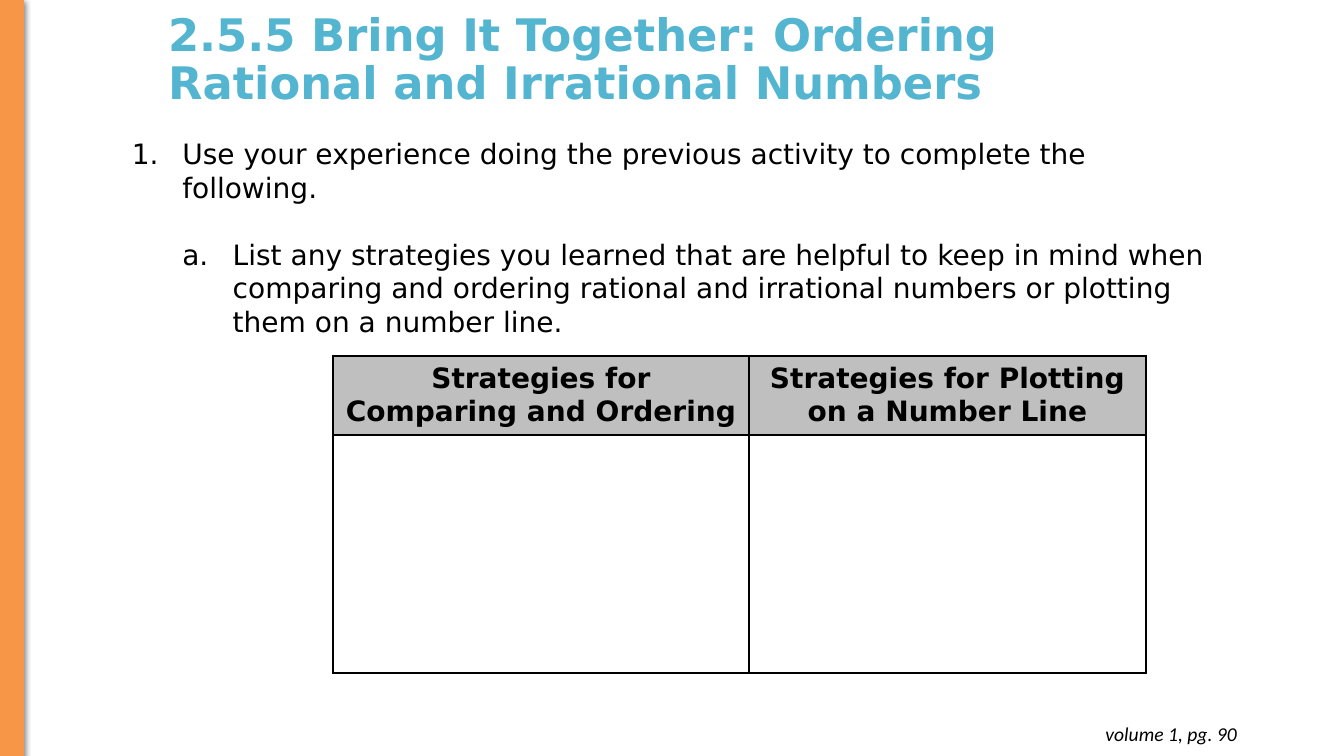
import lxml.etree
import pptx
import pptx.dml.color
import pptx.enum.shapes
import pptx.enum.text
import pptx.oxml.ns
import pptx.util

PX = 9144000 / 1008
COLORS = {"title": "54B5D1", "text": "000000", "bar": "F79647",
          "header": "BFBFBF", "border": "000000", "shadow": "000000"}
BODY_FONT = "DejaVu Sans"
ALIGN = pptx.enum.text.PP_ALIGN
ANCHOR = pptx.enum.text.MSO_ANCHOR


def px(length):
    """Convert pixels to EMU."""
    return pptx.util.Emu(round(length * PX))


def rgb(name):
    """Return a named colour."""
    return pptx.dml.color.RGBColor.from_string(COLORS[name])


def add_xml(parent, tag, **attributes):
    """Append a drawing element to a parent and return it."""
    return lxml.etree.SubElement(parent, pptx.oxml.ns.qn(tag), attributes)


def place(shape, left, top, width, height):
    """Move and size a shape in pixels."""
    shape.left, shape.top = px(left), px(top)
    shape.width, shape.height = px(width), px(height)


def style(paragraph, size, color="text", font=BODY_FONT, bold=False,
          italic=False, align=ALIGN.LEFT):
    """Set the font and alignment of a paragraph."""
    paragraph.alignment = align
    paragraph.font.size = pptx.util.Pt(size)
    paragraph.font.name = font
    paragraph.font.bold = bold
    paragraph.font.italic = italic
    paragraph.font.color.rgb = rgb(color)


def add_title(slide, text):
    """Fill and format the title placeholder."""
    title = slide.shapes.title
    place(title, 158, 7, 884, 108)
    frame = title.text_frame
    frame.text = text
    frame.word_wrap = True
    frame.auto_size = pptx.enum.text.MSO_AUTO_SIZE.NONE
    frame.vertical_anchor = ANCHOR.MIDDLE
    heading = frame.paragraphs[0]
    heading.line_spacing = 0.9
    style(heading, 32, "title", bold=True)


def add_text_frame(slide, left, top, width, height):
    """Add a wrapping text box and return its frame."""
    box = slide.shapes.add_textbox(px(left), px(top), px(width), px(height))
    box.text_frame.word_wrap = True
    return box.text_frame


def number_paragraph(paragraph, level, scheme):
    """Give a paragraph automatic numbering and a hanging indent."""
    paragraph.level = level
    properties = paragraph._p.get_or_add_pPr()
    indent = pptx.util.Inches(0.5)
    properties.set("marL", str(indent * (level + 1)))
    properties.set("indent", str(-indent))
    bullet_color = add_xml(properties, "a:buClr")
    add_xml(bullet_color, "a:srgbClr", val=COLORS["text"])
    add_xml(properties, "a:buFont", typeface=BODY_FONT)
    add_xml(properties, "a:buAutoNum", type=scheme)


def add_instructions(slide, steps):
    """Add the nested, numbered instructions."""
    frame = add_text_frame(slide, 122, 132, 1112, 214)
    for level, (scheme, text) in enumerate(steps):
        step = frame.add_paragraph() if level else frame.paragraphs[0]
        step.text = text
        number_paragraph(step, level, scheme)
        if level:
            step.space_before = pptx.util.Pt(23.5)
        style(step, 20)


def add_side_bar(slide):
    """Add the coloured bar with its soft shadow."""
    bar = slide.shapes.add_shape(pptx.enum.shapes.MSO_SHAPE.RECTANGLE,
                                 0, 0, px(24), px(757))
    bar.fill.solid()
    bar.fill.fore_color.rgb = rgb("bar")
    bar.line.color.rgb = rgb("bar")
    bar.line.width = pptx.util.Pt(0.75)
    bar.shadow.inherit = False
    effects = bar._element.spPr.find(pptx.oxml.ns.qn("a:effectLst"))
    shadow = add_xml(effects, "a:outerShdw", blurRad=str(pptx.util.Pt(4.5)),
                     dist=str(pptx.util.Pt(1.5)), dir="5400000", rotWithShape="0")
    shade = add_xml(shadow, "a:srgbClr", val=COLORS["shadow"])
    add_xml(shade, "a:alpha", val="50000")


def add_borders(cell):
    """Draw a line on each side of a cell."""
    properties = cell._tc.get_or_add_tcPr()
    for side in ("a:lnL", "a:lnR", "a:lnT", "a:lnB"):
        line = add_xml(properties, side, w=str(pptx.util.Pt(1.5)))
        fill = add_xml(line, "a:solidFill")
        add_xml(fill, "a:srgbClr", val=COLORS["border"])


def add_strategy_table(slide, headings):
    """Add the table with headings above an empty answer row."""
    widths, heights = (416, 397), (79, 238)
    table = slide.shapes.add_table(len(heights), len(widths), px(333), px(356),
                                   px(sum(widths)), px(sum(heights))).table
    table.first_row = table.horz_banding = False
    for row, height in zip(table.rows, heights):
        row.height = px(height)
    for column, width in zip(table.columns, widths):
        column.width = px(width)
    for cell in table.iter_cells():
        add_borders(cell)
        cell.fill.background()
    for cell, heading in zip(table.rows[0].cells, headings):
        cell.fill.solid()
        cell.fill.fore_color.rgb = rgb("header")
        cell.vertical_anchor = ANCHOR.MIDDLE
        cell.text = heading
        style(cell.text_frame.paragraphs[0], 20, bold=True, align=ALIGN.CENTER)


def add_page_reference(slide, text):
    """Add the page reference at the lower right."""
    frame = add_text_frame(slide, 957, 712, 290, 44)
    frame.margin_top = frame.margin_bottom = px(10)
    frame.text = text
    style(frame.paragraphs[0], 14, font="Calibri", italic=True, align=ALIGN.RIGHT)


def main():
    """Build and save the slide."""
    deck = pptx.Presentation()
    deck.slide_width, deck.slide_height = px(1344), px(756)
    slide = deck.slides.add_slide(deck.slide_layouts[5])
    add_title(slide, "2.5.5 Bring It Together: Ordering Rational and Irrational Numbers")
    add_instructions(slide, [
        ("arabicPeriod", "Use your experience doing the previous activity to "
                         "complete the following."),
        ("alphaLcPeriod", "List any strategies you learned that are helpful to keep "
                          "in mind when comparing and ordering rational and "
                          "irrational numbers or plotting them on a number line."),
    ])
    add_side_bar(slide)
    add_strategy_table(slide, ["Strategies for Comparing and Ordering",
                               "Strategies for Plotting on a Number Line"])
    add_page_reference(slide, "volume 1, pg. 90")
    deck.save("out.pptx")


if __name__ == "__main__":
    main()
